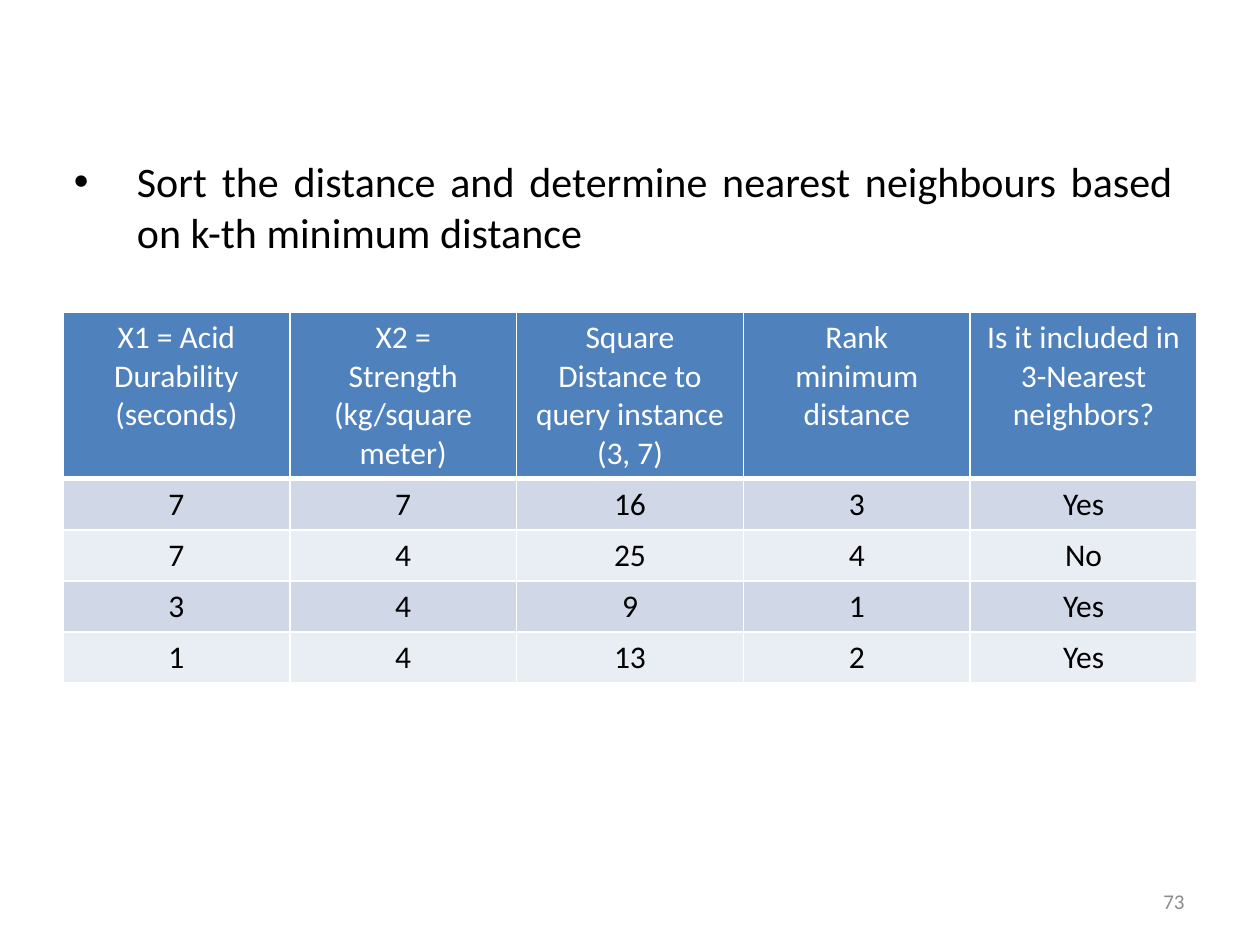
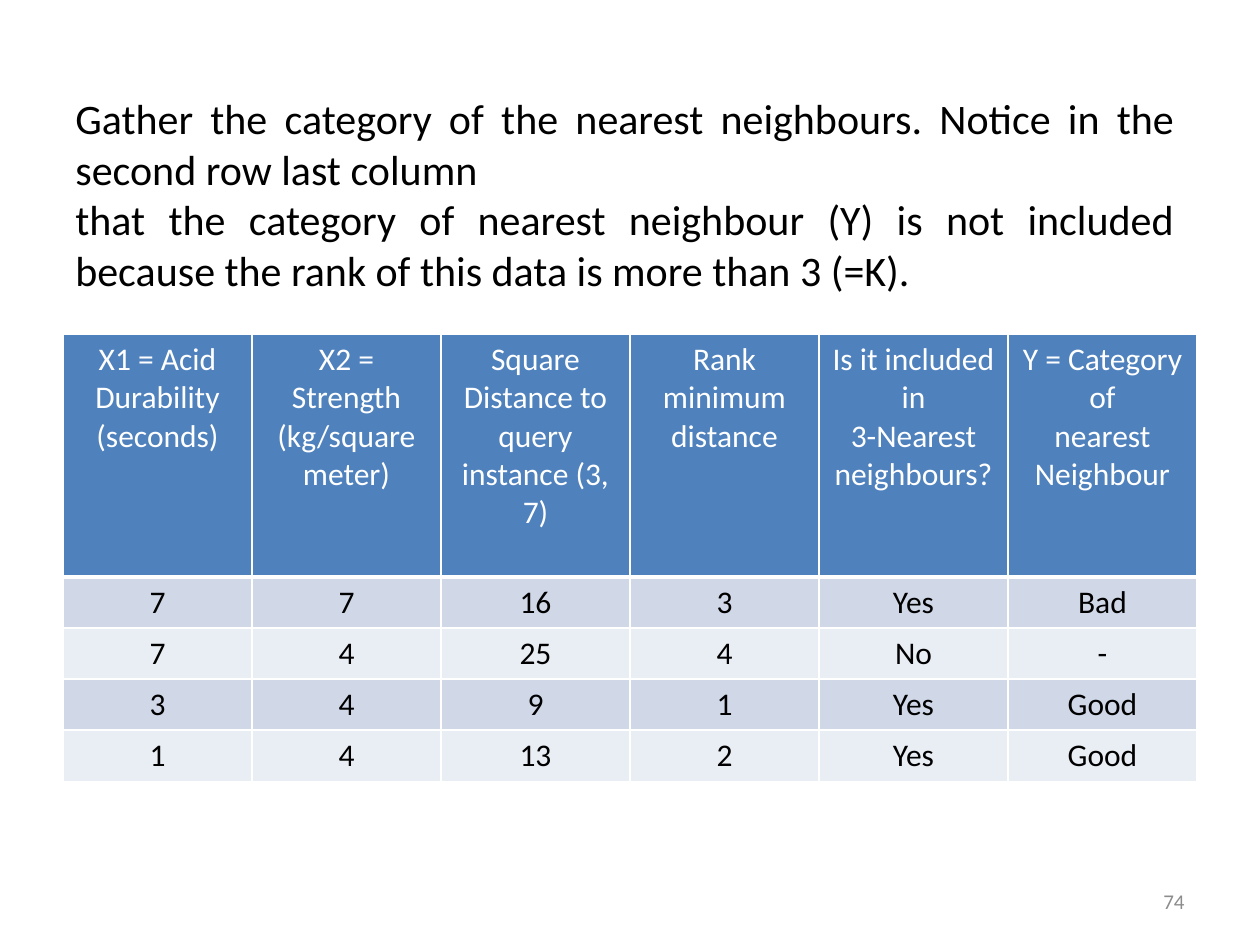
from dataclasses import dataclass

from lxml import etree
from pptx import Presentation
from pptx.dml.color import RGBColor
from pptx.enum.text import MSO_ANCHOR, PP_ALIGN
from pptx.oxml.ns import qn
from pptx.util import Cm, Pt

CENTER = PP_ALIGN.CENTER
JUSTIFY = PP_ALIGN.JUSTIFY
RIGHT = PP_ALIGN.RIGHT
TOP = MSO_ANCHOR.TOP
MIDDLE = MSO_ANCHOR.MIDDLE
BLANK_LAYOUT = 6


@dataclass(frozen=True)
class Theme:
    font: str = "Calibri"
    ink: str = "000000"
    paper: str = "FFFFFF"
    muted: str = "8C8C8C"
    header: str = "4F81BD"
    bands: tuple = ("D0D8E8", "E9EDF4")
    body_size: int = 24
    table_size: int = 18
    number_size: int = 12
    rule: int = 1
    header_rule: int = 3


def write(tf, text, size, color, font, align=CENTER):
    tf.word_wrap = True
    for i, line in enumerate(text.split("\n")):
        p = tf.paragraphs[0] if i == 0 else tf.add_paragraph()
        p.alignment = align
        r = p.add_run()
        r.text = line
        r.font.name = font
        r.font.size = Pt(size)
        r.font.bold = False
        r.font.color.rgb = RGBColor.from_string(color)


def add_bullet(p, indent):
    pPr = p._p.get_or_add_pPr()
    pPr.set("marL", str(indent))
    pPr.set("indent", str(-indent))
    etree.SubElement(pPr, qn("a:buFont"), typeface="Arial")
    etree.SubElement(pPr, qn("a:buChar"), char="•")


def add_border(cell, side, width, color):
    ln = etree.SubElement(cell._tc.get_or_add_tcPr(), qn(f"a:ln{side}"), w=str(Pt(width)))
    fill = etree.SubElement(ln, qn("a:solidFill"))
    etree.SubElement(fill, qn("a:srgbClr"), val=color)


class Deck:
    def __init__(self, theme):
        self.theme = theme
        self.prs = Presentation()
        self.prs.slide_width = Cm(25.4)
        self.prs.slide_height = Cm(19.05)
        self.s = None

    def slide(self, number):
        self.s = self.prs.slides.add_slide(self.prs.slide_layouts[BLANK_LAYOUT])
        self.text(str(number), 18.21, 17.65, 5.92, 1.02, size=self.theme.number_size,
                  color=self.theme.muted, align=RIGHT, anchor=MIDDLE)

    def text(self, text, left, top, width, height, size=None, color=None,
             align=JUSTIFY, anchor=TOP, bullet=False):
        t = self.theme
        sp = self.s.shapes.add_textbox(Cm(left), Cm(top), Cm(width), Cm(height))
        tf = sp.text_frame
        tf.vertical_anchor = anchor
        write(tf, text, size or t.body_size, color or t.ink, t.font, align)
        if bullet:
            for p in tf.paragraphs:
                add_bullet(p, Cm(1.27))

    def table(self, rows, top, header_height, left=1.27, width=22.86, row_height=1.03):
        t = self.theme
        height = header_height + row_height * (len(rows) - 1)
        table = self.s.shapes.add_table(len(rows), len(rows[0]), Cm(left), Cm(top),
                                        Cm(width), Cm(height)).table
        for column in table.columns:
            column.width = Cm(width / len(rows[0]))
        for i, values in enumerate(rows):
            is_header = i == 0
            table.rows[i].height = Cm(header_height if is_header else row_height)
            fill = t.header if is_header else t.bands[(i - 1) % len(t.bands)]
            color = t.paper if is_header else t.ink
            for j, value in enumerate(values):
                cell = table.cell(i, j)
                for side in "LRTB":
                    thick = is_header and side == "B"
                    add_border(cell, side, t.header_rule if thick else t.rule, t.paper)
                cell.fill.solid()
                cell.fill.fore_color.rgb = RGBColor.from_string(fill)
                write(cell.text_frame, value, t.table_size, color, t.font)


ACID = "X1 = Acid\nDurability\n(seconds)"
STRENGTH = "X2 =\nStrength\n(kg/square\nmeter)"
RANK = "Rank\nminimum\ndistance"
NEIGHBOURS = [
    ["7", "7", "16", "3", "Yes"],
    ["7", "4", "25", "4", "No"],
    ["3", "4", "9", "1", "Yes"],
    ["1", "4", "13", "2", "Yes"],
]
CATEGORIES = ["Bad", "-", "Good", "Good"]


def sort_distances(deck):
    deck.slide(73)
    deck.text("Sort the distance and determine nearest neighbours based on k-th "
              "minimum distance", 1.24, 3.02, 22.66, 2.31, bullet=True)
    header = [ACID, STRENGTH, "Square Distance to\nquery instance (3, 7)", RANK,
              "Is it included in 3-Nearest neighbors?"]
    deck.table([header] + NEIGHBOURS, top=6.3, header_height=3.35)


def gather_categories(deck):
    deck.slide(74)
    deck.text("Gather the category of the nearest neighbours. Notice in the second row "
              "last column\nthat the category of nearest neighbour (Y) is not included "
              "because the rank of this data is more than 3 (=K).", 1.27, 1.75, 22.66, 4.37)
    header = [ACID, STRENGTH, "Square Distance to\nquery instance (3,\n7)", RANK,
              "Is it included in\n3-Nearest\nneighbours?",
              "Y = Category of\nnearest\nNeighbour"]
    rows = [row + [category] for row, category in zip(NEIGHBOURS, CATEGORIES)]
    deck.table([header] + rows, top=6.73, header_height=4.9)


def main():
    deck = Deck(Theme())
    sort_distances(deck)
    gather_categories(deck)
    deck.prs.save("out.pptx")


if __name__ == "__main__":
    main()
